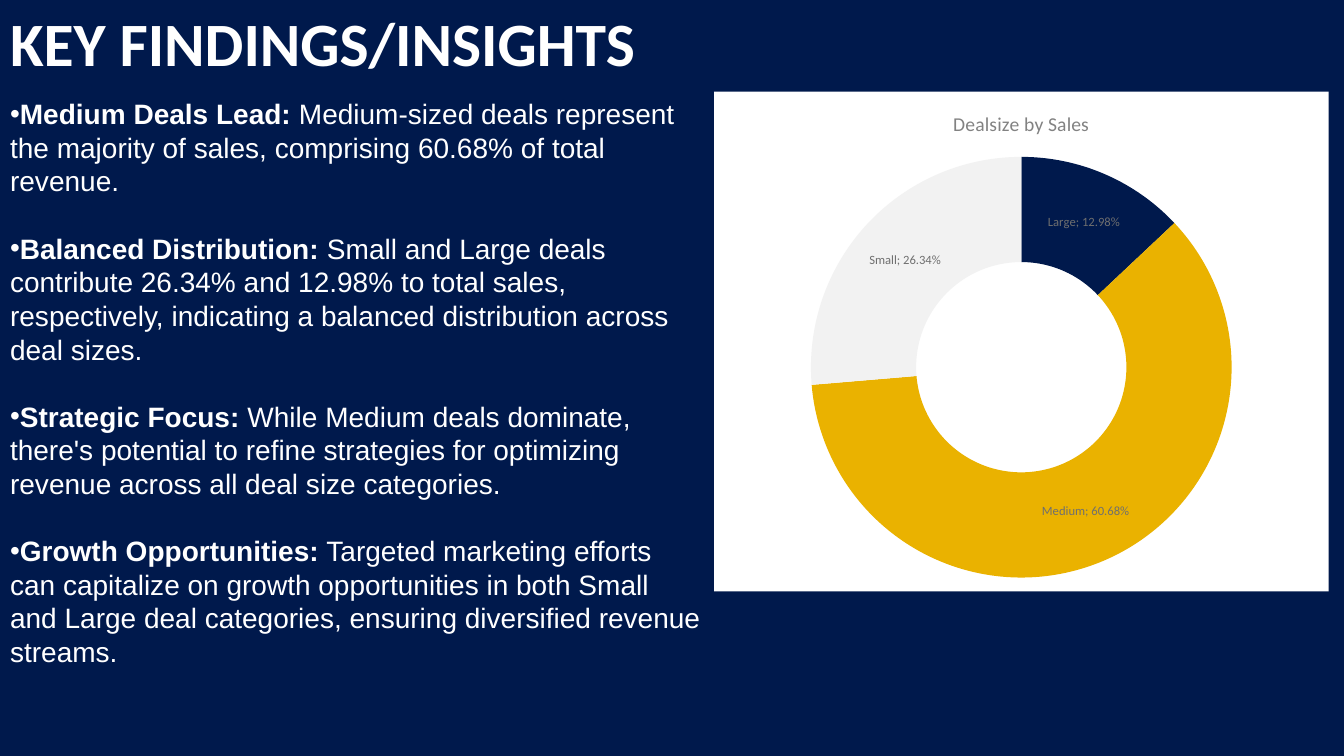
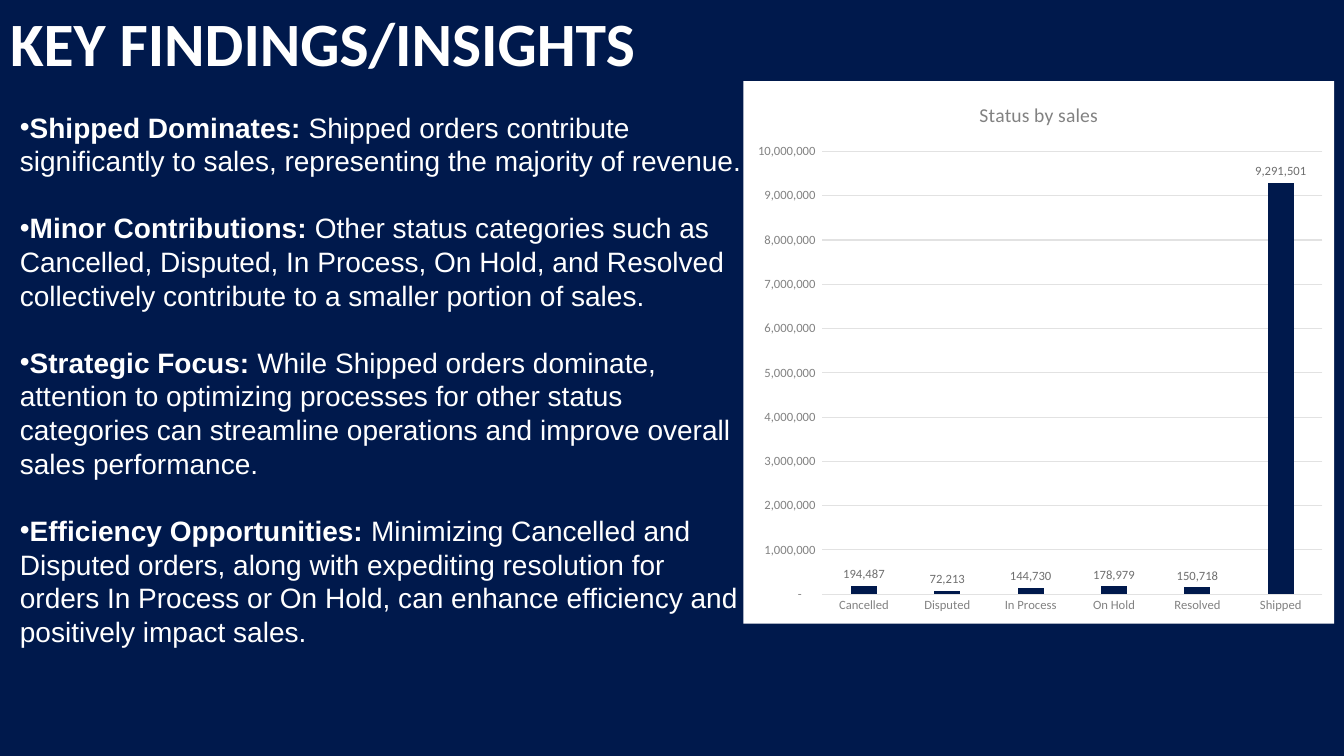
from dataclasses import dataclass

from lxml import etree
from pptx import Presentation
from pptx.chart.data import CategoryChartData
from pptx.dml.color import RGBColor
from pptx.enum.chart import XL_CHART_TYPE, XL_LABEL_POSITION, XL_TICK_MARK
from pptx.enum.text import MSO_ANCHOR, MSO_AUTO_SIZE, PP_ALIGN
from pptx.oxml import parse_xml
from pptx.oxml.ns import nsdecls, qn
from pptx.util import Pt

DOUGHNUT = XL_CHART_TYPE.DOUGHNUT
COLUMNS = XL_CHART_TYPE.COLUMN_CLUSTERED
OUTSIDE_END = XL_LABEL_POSITION.OUTSIDE_END
NO_TICKS = XL_TICK_MARK.NONE
TOP = MSO_ANCHOR.TOP
LEFT = PP_ALIGN.LEFT
FIXED_SIZE = MSO_AUTO_SIZE.NONE


@dataclass(frozen=True)
class Theme:
    navy: str = "00194C"
    gold: str = "EAB200"
    pale: str = "F2F2F2"
    white: str = "FFFFFF"
    chart_text: str = "3F3F3F"
    label_text: str = "6F6F6F"
    axis_text: str = "828282"
    grid: str = "E2E2E2"
    heading_font: str = "Calibri"
    body_font: str = "Arial"
    title_size: int = 44
    body_size: int = 20
    body_line: int = 24
    chart_title_size: int = 14
    chart_size: int = 10
    label_size: int = 9


THEME = Theme()
HEADING = "KEY FINDINGS/INSIGHTS"
TITLE_BOX = (0, 0, 480, 82)
PERCENT = "0.00%"
THOUSANDS = '_-* #,##0_-;\\-* #,##0_-;_-* "-"??_-;_-@_'

DEAL_FINDINGS = [
    ("Medium Deals Lead:",
     " Medium-sized deals represent the majority of sales, comprising 60.68% "
     "of total revenue."),
    ("Balanced Distribution:",
     " Small and Large deals contribute 26.34% and 12.98% to total sales, "
     "respectively, indicating a balanced distribution across deal sizes."),
    ("Strategic Focus:",
     " While Medium deals dominate, there's potential to refine strategies for "
     "optimizing revenue across all deal size categories."),
    ("Growth Opportunities:",
     " Targeted marketing efforts can capitalize on growth opportunities in both "
     "Small and Large deal categories, ensuring diversified revenue streams."),
]
STATUS_FINDINGS = [
    ("Shipped Dominates:",
     " Shipped orders contribute significantly to sales, representing the "
     "majority of revenue."),
    ("Minor Contributions:",
     " Other status categories such as Cancelled, Disputed, In Process, On Hold, "
     "and Resolved collectively contribute to a smaller portion of sales."),
    ("Strategic Focus:",
     " While Shipped orders dominate, attention to optimizing processes for other "
     "status categories can streamline operations and improve overall sales "
     "performance."),
    ("Efficiency Opportunities:",
     " Minimizing Cancelled and Disputed orders, along with expediting resolution "
     "for orders In Process or On Hold, can enhance efficiency and positively "
     "impact sales."),
]
DEAL_SALES = {"Large": 0.1298, "Medium": 0.6068, "Small": 0.2634}
STATUS_SALES = {"Cancelled": 194487, "Disputed": 72213, "In Process": 144730,
                "On Hold": 178979, "Resolved": 150718, "Shipped": 9291501}


# Text
def style_font(font, name, size, color, bold=False):
    font.name = name
    font.size = Pt(size)
    font.bold = bold
    font.color.rgb = RGBColor.from_string(color)


def add_span(para, text, *style):
    span = para.add_run()
    span.text = text
    style_font(span.font, *style)


def place_text(placeholder, box):
    placeholder.left, placeholder.top, placeholder.width, placeholder.height = map(Pt, box)
    frame = placeholder.text_frame
    frame.word_wrap = True
    frame.auto_size = FIXED_SIZE
    frame.vertical_anchor = TOP
    return frame


def add_bullet(para):
    properties = para._p.get_or_add_pPr()
    properties.set("marL", "0")
    properties.set("indent", "0")
    etree.SubElement(properties, qn("a:buFont")).set("typeface", THEME.body_font)
    etree.SubElement(properties, qn("a:buChar")).set("char", "•")


def fill_findings(placeholder, box, findings):
    frame = place_text(placeholder, box)
    for index, (lead, detail) in enumerate(findings):
        para = frame.add_paragraph() if index else frame.paragraphs[0]
        add_bullet(para)
        para.alignment = LEFT
        para.line_spacing = Pt(THEME.body_line)
        para.space_before = Pt(THEME.body_line if index else 0)
        para.space_after = Pt(0)
        for text, bold in ((lead, True), (detail, False)):
            add_span(para, text, THEME.body_font, THEME.body_size, THEME.white, bold)


def add_findings_page(deck, box, findings):
    page = deck.slides.add_slide(deck.slide_layouts[1])
    para = place_text(page.shapes.title, TITLE_BOX).paragraphs[0]
    para.alignment = LEFT
    add_span(para, HEADING, THEME.heading_font, THEME.title_size, THEME.white, True)
    fill_findings(page.placeholders[1], box, findings)
    return page


# Charts
def paint_chart_area(chart):
    area = parse_xml(
        f'<c:spPr {nsdecls("c", "a")}><a:solidFill><a:srgbClr val="{THEME.white}"/>'
        '</a:solidFill><a:ln><a:noFill/></a:ln></c:spPr>')
    chart._chartSpace.find(qn("c:chart")).addnext(area)


def add_sales_chart(page, kind, box, title, sales, number_format):
    data = CategoryChartData(number_format=number_format)
    data.categories = list(sales)
    data.add_series("Series 1", list(sales.values()))
    chart = page.shapes.add_chart(kind, *map(Pt, box), data).chart
    paint_chart_area(chart)
    style_font(chart.font, THEME.heading_font, THEME.chart_size, THEME.chart_text)
    chart.has_legend = False
    chart.has_title = True
    add_span(chart.chart_title.text_frame.paragraphs[0], title,
             THEME.heading_font, THEME.chart_title_size, THEME.axis_text)

    plot = chart.plots[0]
    plot.has_data_labels = True
    labels = plot.data_labels
    labels.show_value = True
    labels.show_percentage = False
    labels.number_format = number_format
    labels.number_format_is_linked = False
    style_font(labels.font, THEME.heading_font, THEME.label_size, THEME.label_text)
    return chart


def paint(target, color):
    target.format.fill.solid()
    target.format.fill.fore_color.rgb = RGBColor.from_string(color)


def style_line(line):
    line.color.rgb = RGBColor.from_string(THEME.grid)
    line.width = Pt(0.75)


def add_doughnut(page, box, title, sales, colors):
    plot = add_sales_chart(page, DOUGHNUT, box, title, sales, PERCENT).plots[0]
    plot.vary_by_categories = True
    plot.data_labels.show_category_name = True
    for index, color in enumerate(colors):
        paint(plot.series[0].points[index], color)


def add_columns(page, box, title, sales):
    chart = add_sales_chart(page, COLUMNS, box, title, sales, THOUSANDS)
    plot = chart.plots[0]
    plot.vary_by_categories = False
    plot.gap_width = 219
    plot.overlap = -27
    plot.data_labels.position = OUTSIDE_END
    paint(plot.series[0], THEME.navy)

    for axis in (chart.category_axis, chart.value_axis):
        axis.major_tick_mark = axis.minor_tick_mark = NO_TICKS
        style_font(axis.tick_labels.font, THEME.heading_font,
                   THEME.label_size, THEME.axis_text)
    style_line(chart.category_axis.format.line)

    value_axis = chart.value_axis
    value_axis.minimum_scale = 0
    value_axis.maximum_scale = 10_000_000
    value_axis.major_unit = 1_000_000
    value_axis.has_major_gridlines = True
    style_line(value_axis.major_gridlines.format.line)
    value_axis.format.line.fill.background()
    value_axis.tick_labels.number_format = THOUSANDS
    value_axis.tick_labels.number_format_is_linked = False


def main():
    deck = Presentation()
    deck.slide_width, deck.slide_height = Pt(960), Pt(540)
    background = deck.slide_master.background.fill
    background.solid()
    background.fore_color.rgb = RGBColor.from_string(THEME.navy)

    # Deal sizes
    page = add_findings_page(deck, (0, 65.5, 510, 419), DEAL_FINDINGS)
    add_doughnut(page, (510, 65.5, 439, 357), "Dealsize by Sales", DEAL_SALES,
                 (THEME.navy, THEME.gold, THEME.pale))

    # Order status
    page = add_findings_page(deck, (7, 75, 533, 395), STATUS_FINDINGS)
    add_columns(page, (531, 58, 422, 387.5), "Status by sales", STATUS_SALES)

    deck.save("out.pptx")


if __name__ == "__main__":
    main()
